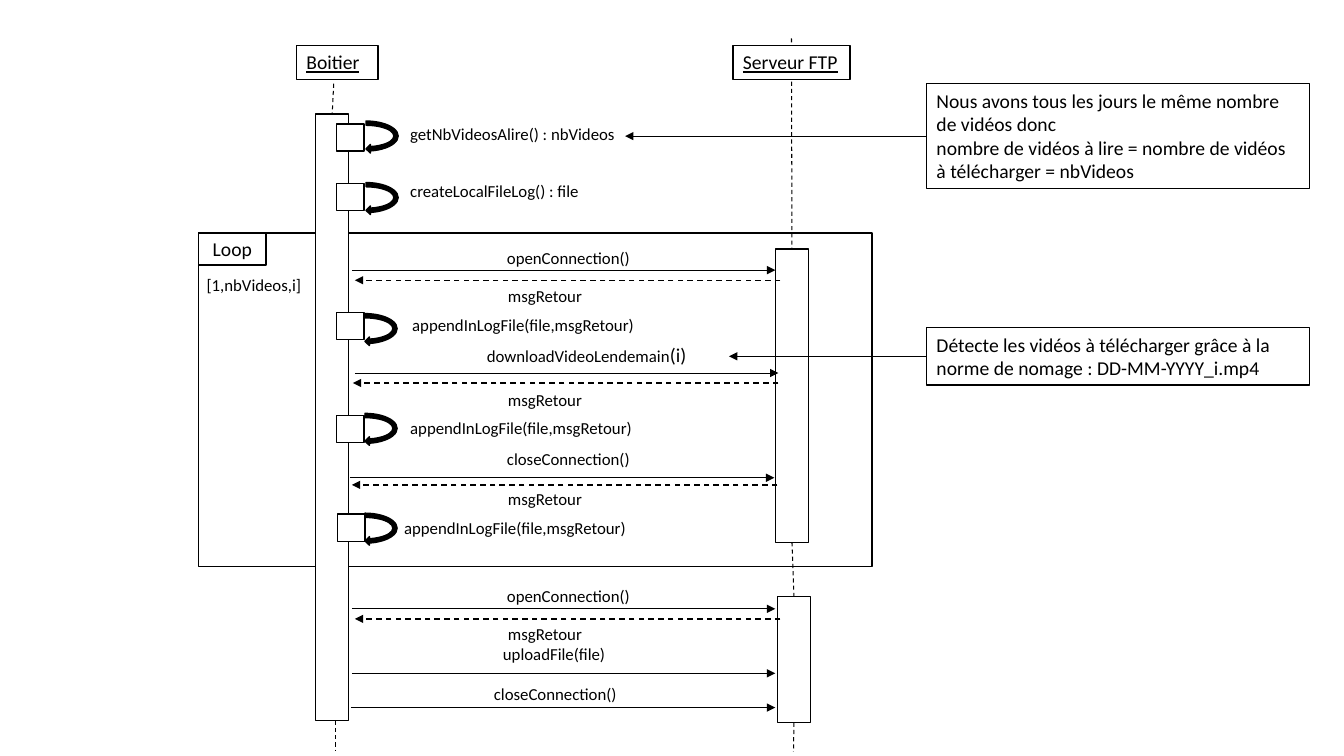
import pptx
import pptx.util
import pptx.dml.color
import pptx.enum.dml
import pptx.enum.shapes
import pptx.enum.text
import pptx.oxml.ns
import lxml.etree

Inches = pptx.util.Inches
Pt = pptx.util.Pt
Shapes = pptx.enum.shapes.MSO_SHAPE
Anchor = pptx.enum.text.MSO_ANCHOR
Align = pptx.enum.text.PP_ALIGN

COLOURS = {"ink": "000000", "paper": "FFFFFF"}
FONT = "Calibri"
TOP, LEFT, BOTTOM = 0, 1, 2  # connection sites of a rectangle
SQUARE = 0.27
ARC_WIDTH, ARC_HEIGHT = 0.34, 0.68

# Rectangles: left, top, width, height
LOOP_FRAME = (1.97, 2.31, 6.68, 3.31)
LOOP_TAB = (1.97, 2.31, 0.67, 0.32)
BOITIER_LABEL = (2.94, 0.45, 0.81, 0.34)
SERVER_LABEL = (7.27, 0.45, 1.16, 0.34)
BOITIER_BAR = (3.13, 1.13, 0.33, 6.02)
SERVER_LOOP_BAR = (7.69, 2.47, 0.33, 2.91)
SERVER_END_BAR = (7.71, 5.92, 0.33, 1.25)

# Calls of Boitier to itself: text, text left and top, square left and top, arc left and top
SELF_CALLS = [
    ("getNbVideosAlire() : nbVideos", (3.97, 1.18), (3.34, 1.23), (3.46, 1.01)),
    ("createLocalFileLog() : file", (3.97, 1.74), (3.34, 1.82), (3.46, 1.62)),
    ("appendInLogFile(file,msgRetour)", (3.99, 3.07), (3.34, 3.1), (3.45, 2.92)),
    ("appendInLogFile(file,msgRetour)", (3.97, 4.1), (3.34, 4.12), (3.45, 3.91)),
    ("appendInLogFile(file,msgRetour)", (3.91, 5.09), (3.35, 5.1), (3.45, 4.9)),
]

# Messages: text, text left and top, arrow start x, end x and y
CALLS = [
    ("openConnection()", (4.93, 2.41), (3.49, 7.69, 2.68)),
    ([("downloadVideoLendemain", 12), ("(i)", 14)], (4.73, 3.35), (3.52, 7.72, 3.7)),
    ("closeConnection()", (4.93, 4.4), (3.47, 7.68, 4.74)),
    ("openConnection()", (4.93, 5.76), (3.49, 7.69, 6.04)),
    ("uploadFile(file)", (4.89, 6.34), (3.49, 7.69, 6.68)),
    ("closeConnection()", (4.8, 6.73), (3.48, 7.69, 7.02)),
]
RETURNS = [
    ("msgRetour", (4.94, 2.79), (7.74, 3.52, 2.78)),
    ("msgRetour", (4.94, 3.82), (7.72, 3.5, 3.8)),
    ("msgRetour", (4.94, 4.8), (7.71, 3.49, 4.81)),
    ("msgRetour", (4.94, 6.14), (7.74, 3.52, 6.14)),
]

# Notes: paragraphs, rectangle, x of the arrow's tip
NOTES = [
    (["Nous avons tous les jours le même nombre de vidéos donc",
      "nombre de vidéos à lire = nombre de vidéos à télécharger = nbVideos"],
     (9.19, 0.83, 3.8, 1.04), 6.2),
    (["Détecte les vidéos à télécharger grâce à la norme de nomage : DD-MM-YYYY_i.mp4"],
     (9.19, 3.25, 3.8, 0.57), 7.23),
]

deck = pptx.Presentation()
deck.slide_width, deck.slide_height = Inches(13.33), Inches(7.5)
page = deck.slides.add_slide(deck.slide_layouts[6])


def colour(name):
    return pptx.dml.color.RGBColor.from_string(COLOURS[name])


def write(box, paragraphs, size=14, underline=False, align=Align.LEFT, anchor=Anchor.TOP):
    """Fill a box with paragraphs; each is a string or a list of (text, size)."""
    frame = box.text_frame
    frame.word_wrap = True
    frame.vertical_anchor = anchor
    for index, paragraph in enumerate(paragraphs):
        para = frame.add_paragraph() if index else frame.paragraphs[0]
        para.alignment = align
        pieces = [(paragraph, size)] if isinstance(paragraph, str) else paragraph
        for text, piece_size in pieces:
            span = para.add_run()
            span.text = text
            span.font.name = FONT
            span.font.size = Pt(piece_size)
            span.font.underline = underline
            span.font.color.rgb = colour("ink")


def add_text(text, left, top, width=2.8):
    box = page.shapes.add_textbox(*map(Inches, (left, top, width, 0.3)))
    write(box, [text], size=12)


def add_box(area, kind=Shapes.RECTANGLE, fill="paper"):
    box = page.shapes.add_shape(kind, *map(Inches, area))
    box.shadow.inherit = False
    box.fill.solid()
    box.fill.fore_color.rgb = colour(fill)
    box.line.color.rgb = colour("ink")
    box.line.width = Pt(1)
    return box


def add_line(start, end, width=0.75, dashed=False, arrow=False):
    """Each end is a point (x, y) or a pair (box, connection site)."""
    joined = [not isinstance(spot[0], (int, float)) for spot in (start, end)]
    points = [(0, 0) if join else spot for join, spot in zip(joined, (start, end))]
    line = page.shapes.add_connector(pptx.enum.shapes.MSO_CONNECTOR.STRAIGHT,
                                     *map(Inches, points[0] + points[1]))
    if joined[0]:
        line.begin_connect(*start)
    if joined[1]:
        line.end_connect(*end)
    line.line.color.rgb = colour("ink")
    line.line.width = Pt(width)
    if dashed:
        line.line.dash_style = pptx.enum.dml.MSO_LINE.DASH
    properties = line._element.spPr
    if arrow:
        outline = properties.find(pptx.oxml.ns.qn("a:ln"))
        lxml.etree.SubElement(outline, pptx.oxml.ns.qn("a:tailEnd"), type="triangle")
    lxml.etree.SubElement(properties, pptx.oxml.ns.qn("a:effectLst"))


# Loop frame, activation bars and lifelines
add_box(LOOP_FRAME)
boitier_bar = add_box(BOITIER_BAR)
server_loop_bar = add_box(SERVER_LOOP_BAR)
server_end_bar = add_box(SERVER_END_BAR)
for start, end in [
    ((3.31, 0.83), (boitier_bar, TOP)),
    ((3.33, 7.15), (3.33, 7.45)),
    ((7.85, 0.38), (server_loop_bar, TOP)),
    ((server_loop_bar, BOTTOM), (server_end_bar, TOP)),
    ((server_end_bar, BOTTOM), (7.87, 7.46)),
]:
    add_line(start, end, dashed=True)

# Participants
for name, area in [("Boitier", BOITIER_LABEL), ("Serveur FTP", SERVER_LABEL)]:
    write(add_box(area), [name], underline=True)

# Loop tab and its guard
write(add_box(LOOP_TAB), ["Loop"], align=Align.CENTER, anchor=Anchor.MIDDLE)
add_text("[1,nbVideos,i]", 1.95, 2.68, width=1.19)

# Self calls
for text, place, square, arc in SELF_CALLS:
    add_box(square + (SQUARE, SQUARE))
    turn = add_box(arc + (ARC_WIDTH, ARC_HEIGHT), kind=Shapes.CIRCULAR_ARROW, fill="ink")
    turn.rotation = 90
    add_text(text, *place)

# Messages between the participants
for messages, width, dashed in [(CALLS, 0.5, False), (RETURNS, 1, True)]:
    for text, place, (start_x, end_x, y) in messages:
        add_text(text, *place)
        add_line((start_x, y), (end_x, y), width=width, dashed=dashed, arrow=True)

# Notes with their pointers
for paragraphs, area, tip_x in NOTES:
    note = add_box(area)
    write(note, paragraphs)
    add_line((note, LEFT), (tip_x, area[1] + area[3] / 2), width=0.5, arrow=True)

deck.save("out.pptx")
